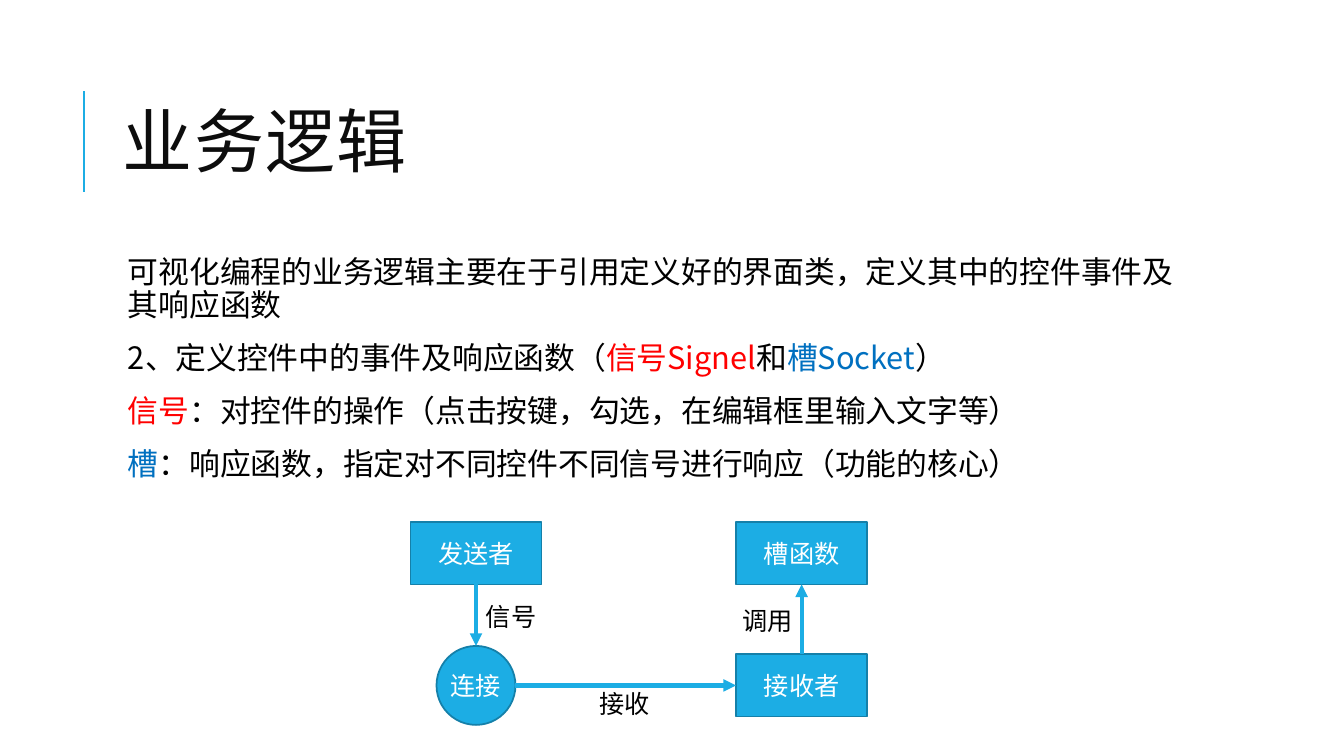
from dataclasses import dataclass

from lxml import etree
from pptx import Presentation
from pptx.dml.color import RGBColor
from pptx.enum.shapes import MSO_CONNECTOR, MSO_SHAPE
from pptx.enum.text import MSO_ANCHOR, MSO_AUTO_SIZE, PP_ALIGN
from pptx.oxml.ns import qn
from pptx.util import Pt

RECTANGLE, ELLIPSE = MSO_SHAPE.RECTANGLE, MSO_SHAPE.OVAL
STRAIGHT = MSO_CONNECTOR.STRAIGHT
TOP, MIDDLE = MSO_ANCHOR.TOP, MSO_ANCHOR.MIDDLE
LEFT, CENTER = PP_ALIGN.LEFT, PP_ALIGN.CENTER
NO_AUTOFIT, GROW = MSO_AUTO_SIZE.NONE, MSO_AUTO_SIZE.SHAPE_TO_FIT_TEXT


@dataclass(frozen=True)
class Theme:
    accent: str = "1CADE4"
    outline: str = "1580A9"
    heading: str = "0D0D0D"
    black: str = "000000"
    white: str = "FFFFFF"
    signal: str = "FF0000"
    slot: str = "0070C0"
    text_font: str = "Noto Sans CJK SC"
    diagram_font: str = "Calibri"
    title_size: float = 50
    body_size: float = 22
    diagram_size: float = 18


@dataclass(frozen=True)
class Node:
    text: str
    kind: int
    center_x: float
    center_y: float
    width: float
    height: float

    @property
    def left(self) -> float:
        return self.center_x - self.width / 2

    @property
    def right(self) -> float:
        return self.center_x + self.width / 2

    @property
    def top(self) -> float:
        return self.center_y - self.height / 2

    @property
    def bottom(self) -> float:
        return self.center_y + self.height / 2


@dataclass(frozen=True)
class Line:
    start: tuple[float, float]
    end: tuple[float, float]
    width: float
    arrow: bool = True


@dataclass(frozen=True)
class Label:
    text: str
    left: float
    top: float


THEME = Theme()

# Body text as (text, colour) runs
BODY = [
    [("可视化编程的业务逻辑主要在于引用定义好的界面类，定义其中的控件事件及其响应函数", THEME.black)],
    [("2、定义控件中的事件及响应函数（", THEME.black), ("信号Signel", THEME.signal),
     ("和", THEME.black), ("槽Socket", THEME.slot), ("）", THEME.black)],
    [("信号", THEME.signal), ("：对控件的操作（点击按键，勾选，在编辑框里输入文字等）", THEME.black)],
    [("槽", THEME.slot), ("：响应函数，指定对不同控件不同信号进行响应（功能的核心）", THEME.black)],
]

# Diagram: two columns by two rows
LEFT_COLUMN, RIGHT_COLUMN = 340, 572.6
UPPER_ROW, LOWER_ROW = 395.2, 489.6
BOX = (93.6, 44.6)
SENDER = Node("发送者", RECTANGLE, LEFT_COLUMN, UPPER_ROW, *BOX)
CONNECTION = Node("连接", ELLIPSE, LEFT_COLUMN, LOWER_ROW, 56.4, 56.4)
RECEIVER = Node("接收者", RECTANGLE, RIGHT_COLUMN, LOWER_ROW, *BOX)
SLOT = Node("槽函数", RECTANGLE, RIGHT_COLUMN, UPPER_ROW, *BOX)
NODES = [SENDER, CONNECTION, RECEIVER, SLOT]

LINES = [
    Line((60, 136.8), (60, 64.8), 1.5, arrow=False),
    Line((LEFT_COLUMN, SENDER.bottom), (LEFT_COLUMN, CONNECTION.top), 3),
    Line((CONNECTION.right, LOWER_ROW), (RECEIVER.left, LOWER_ROW), 3),
    Line((RIGHT_COLUMN, RECEIVER.top), (RIGHT_COLUMN, SLOT.bottom), 3),
]
LABELS = [Label("信号", 340, 426.2), Label("接收", 421.2, 488.2), Label("调用", 523.4, 429.1)]


def apply(target, values: dict) -> None:
    for name, value in values.items():
        setattr(target, name, value)


def place(shape, left: float, top: float, width: float, height: float) -> None:
    apply(shape, {"left": Pt(left), "top": Pt(top), "width": Pt(width), "height": Pt(height)})


def set_margins(frame, horizontal: float, vertical: float) -> None:
    apply(frame, {"margin_left": Pt(horizontal), "margin_right": Pt(horizontal),
                  "margin_top": Pt(vertical), "margin_bottom": Pt(vertical)})


def add_run(paragraph, text: str, size: float, font: str, color: str):
    run = paragraph.add_run()
    run.text = text
    apply(run.font, {"size": Pt(size), "name": font})
    run.font.color.rgb = RGBColor.from_string(color)
    properties = run.font._element
    east_asian = etree.Element(qn("a:ea"), typeface=THEME.text_font)
    properties.find(qn("a:latin")).addnext(east_asian)
    return run


def fill_title(shape) -> None:
    place(shape, 80.6, 46.1, 765.4, 118)
    apply(shape.text_frame, {"vertical_anchor": MIDDLE, "word_wrap": True, "auto_size": NO_AUTOFIT})
    paragraph = shape.text_frame.paragraphs[0]
    apply(paragraph, {"alignment": LEFT, "line_spacing": 0.8})
    run = add_run(paragraph, "业务逻辑", THEME.title_size, THEME.text_font, THEME.heading)
    run.font._element.set("spc", "100")


def fill_body(shape) -> None:
    place(shape, 80.6, 180, 765.4, 316.8)
    frame = shape.text_frame
    apply(frame, {"vertical_anchor": TOP, "word_wrap": True, "auto_size": NO_AUTOFIT})
    set_margins(frame, 3.6, 3.6)
    for index, runs in enumerate(BODY):
        paragraph = frame.add_paragraph() if index else frame.paragraphs[0]
        apply(paragraph, {"alignment": LEFT, "line_spacing": 0.9,
                          "space_before": Pt(12), "space_after": Pt(2)})
        properties = paragraph._p.get_or_add_pPr()
        properties.set("marL", str(Pt(7.2)))
        properties.set("indent", "0")
        etree.SubElement(properties, qn("a:buNone"))
        for text, color in runs:
            add_run(paragraph, text, THEME.body_size, THEME.text_font, color)


def draw_node(slide, node: Node) -> None:
    shape = slide.shapes.add_shape(node.kind, Pt(node.left), Pt(node.top),
                                   Pt(node.width), Pt(node.height))
    shape.shadow.inherit = False
    shape.fill.solid()
    shape.fill.fore_color.rgb = RGBColor.from_string(THEME.accent)
    shape.line.color.rgb = RGBColor.from_string(THEME.outline)
    shape.line.width = Pt(1.25)
    apply(shape.text_frame, {"vertical_anchor": MIDDLE, "word_wrap": True})
    set_margins(shape.text_frame, 0, 0)
    paragraph = shape.text_frame.paragraphs[0]
    paragraph.alignment = CENTER
    add_run(paragraph, node.text, THEME.diagram_size, THEME.diagram_font, THEME.white)


def draw_line(slide, line: Line) -> None:
    points = [Pt(value) for value in (*line.start, *line.end)]
    connector = slide.shapes.add_connector(STRAIGHT, *points)
    connector.line.width = Pt(line.width)
    connector.line.color.rgb = RGBColor.from_string(THEME.accent)
    if line.arrow:
        etree.SubElement(connector.line._get_or_add_ln(), qn("a:tailEnd"), type="triangle")
    etree.SubElement(connector._element.spPr, qn("a:effectLst"))


def draw_label(slide, label: Label) -> None:
    shape = slide.shapes.add_textbox(Pt(label.left), Pt(label.top), Pt(51), Pt(29))
    apply(shape.text_frame, {"word_wrap": False, "auto_size": GROW})
    add_run(shape.text_frame.paragraphs[0], label.text,
            THEME.diagram_size, THEME.diagram_font, THEME.black)


def main() -> None:
    presentation = Presentation()
    apply(presentation, {"slide_width": Pt(960), "slide_height": Pt(540)})
    slide = presentation.slides.add_slide(presentation.slide_layouts[1])
    fill_title(slide.shapes.title)
    fill_body(slide.placeholders[1])
    for node in NODES:
        draw_node(slide, node)
    for line in LINES:
        draw_line(slide, line)
    for label in LABELS:
        draw_label(slide, label)
    presentation.save("out.pptx")


if __name__ == "__main__":
    main()
